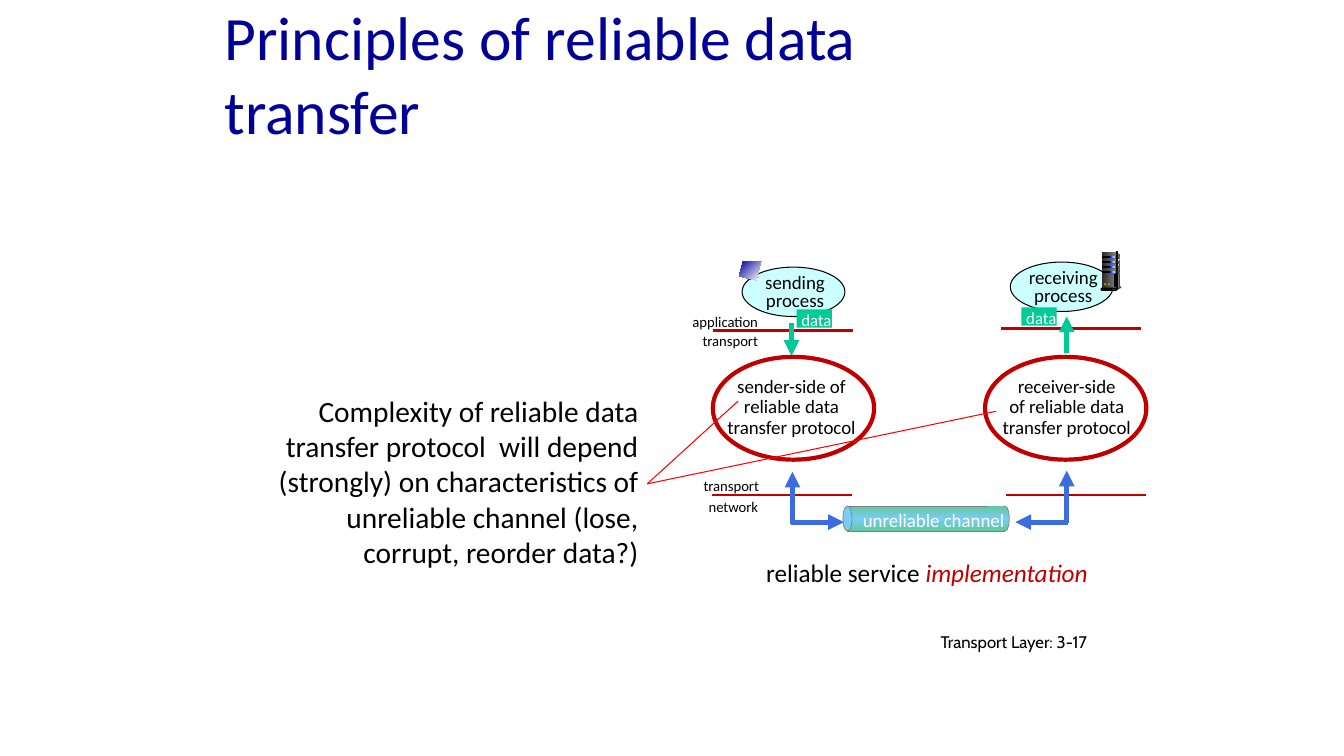
from lxml import etree
from pptx import Presentation
from pptx import util as u
from pptx.dml.color import RGBColor
from pptx.enum import shapes, text
from pptx.oxml.ns import qn

PX = 9144
RED, GREEN, BLUE = "C00000", "00C896", "3C6CDF"
TUBE = ("60C99C", "7ACCF4", "60C99C")
GLOW = ("0000FF", "99CCFF", "0000FF")
STEEL = ("292929", "808080")
RECT = shapes.MSO_SHAPE.RECTANGLE
OVAL = shapes.MSO_SHAPE.OVAL
PILL = shapes.MSO_SHAPE.ROUNDED_RECTANGLE
LEFT, MID, RIGHT = text.PP_ALIGN.LEFT, text.PP_ALIGN.CENTER, text.PP_ALIGN.RIGHT


def rgb(code):
    return RGBColor.from_string(code)


class Pen:
    """Draws styled elements on the current slide, with lengths in px."""

    def __init__(self, slide, font="Calibri", ink="000000"):
        self.shapes = slide.shapes
        self.font = font
        self.ink = ink

    def paint(self, item, fill, line, width, angle):
        item.shadow.inherit = False
        if fill is None:
            item.fill.background()
        elif isinstance(fill, str):
            item.fill.solid()
            item.fill.fore_color.rgb = rgb(fill)
        else:
            item.fill.gradient()
            item.fill.gradient_angle = angle
            stops = item._element.spPr.find(qn("a:gradFill")).find(qn("a:gsLst"))
            for old in list(stops):
                stops.remove(old)
            for i, code in enumerate(fill):
                place = str(100000 * i // (len(fill) - 1))
                stop = etree.SubElement(stops, qn("a:gs"), pos=place)
                etree.SubElement(stop, qn("a:srgbClr"), val=code)
        if line:
            item.line.color.rgb = rgb(line)
            item.line.width = u.Pt(width)
        else:
            item.line.fill.background()

    def shape(self, kind, x, y, w, h, fill=None, line=None, width=0.75, angle=0):
        item = self.shapes.add_shape(kind, x * PX, y * PX, w * PX, h * PX)
        if kind == PILL:
            item.adjustments[0] = 0.5
        self.paint(item, fill, line, width, angle)

    def poly(self, points, fill, angle=0):
        path = self.shapes.build_freeform(*points[0], scale=PX)
        path.add_line_segments(points[1:], close=True)
        self.paint(path.convert_to_shape(), fill, None, 0, angle)

    def line(self, x1, y1, x2, y2, color, width, arrow=False):
        item = self.shapes.add_connector(
            shapes.MSO_CONNECTOR.STRAIGHT, x1 * PX, y1 * PX, x2 * PX, y2 * PX)
        item.line.color.rgb = rgb(color)
        item.line.width = u.Pt(width)
        props = item._element.spPr
        if arrow:
            etree.SubElement(props.find(qn("a:ln")), qn("a:tailEnd"), type="triangle")
        etree.SubElement(props, qn("a:effectLst"))

    def text(self, x, y, w, h, lines, size, color=None, align=LEFT,
             gap=1.0, wrap=True, font=None):
        frame = self.shapes.add_textbox(x * PX, y * PX, w * PX, h * PX).text_frame
        frame.word_wrap = wrap
        frame.text = lines
        for para in frame.paragraphs:
            para.alignment = align
            para.line_spacing = gap
            para.font.size = u.Pt(size)
            para.font.name = font or self.font
            para.font.color.rgb = rgb(color or self.ink)
        return frame


def ends(pen):
    """Draw the sending and receiving processes."""
    for x, y, label, tag_x, tag_y in (
            (736, 265, "sending process", 790, 307),
            (1002, 260, "receiving process", 1013, 305)):
        pen.shape(OVAL, x, y, 102, 49, "CCFFFF", pen.ink)
        pen.text(x + 7, y + 3, 91, 46, label, 13.5, align=MID, gap=0.8)
        pen.shape(RECT, tag_x, tag_y, 35, 18, "00CC99")
        pen.text(tag_x - 5, tag_y - 5, 51, 30, "data", 12, "FFFFFF")
    pen.poly([(755, 259), (737, 259), (733, 274), (750, 278)],
             ("000099", "FFFFFF"), 315)


def server(pen):
    """Draw the server tower beside the receiving process."""
    pen.poly([(1108, 250), (1111, 254), (1111, 285), (1107, 286)], ("DDDDDD", "333333"))
    pen.shape(RECT, 1093, 250, 14, 36, STEEL)
    pen.poly([(1108, 252), (1110, 255), (1109, 275), (1108, 285)], ("808080", "F8F8F8"))
    for y in range(254, 270, 5):
        pen.shape(RECT, 1093, y, 8, 1, pen.ink, pen.ink)
        pen.shape(PILL, 1101, y, 8, 2, pen.ink)
        pen.shape(PILL, 1101, y, 7, 2, GLOW)
    pen.shape(RECT, 1107, 250, 1, 37, ("333333", "DDDDDD", "333333"), pen.ink)
    for y in range(254, 270, 5):
        pen.poly([(1108, y), (1111, y + 2), (1111, y + 3), (1108, y + 1)], STEEL)
    pen.shape(OVAL, 1111, 284, 1, 2, "333333")
    pen.poly([(1108, 286), (1108, 288), (1111, 286), (1111, 285)], "333333")
    pen.shape(PILL, 1092, 286, 16, 2, "DDDDDD", pen.ink)
    pen.shape(PILL, 1093, 286, 14, 1, ("000000", "808080"), pen.ink)
    for i, lamp in enumerate(("33CC33", "FF0000", "33CC33")):
        pen.shape(OVAL, 1095 + 2 * i, 281, 2, 2, lamp)
    pen.shape(RECT, 1105, 272, 1, 12, "292929", pen.ink)


def layers(pen):
    """Draw the layer borders, their names and the channel."""
    for x, y in ((707, 328), (993, 326), (706, 491), (998, 491)):
        pen.line(x, y, x + 139, y, RED, 1.75)
    for x, y, w, name in ((677, 305, 86, "application"), (687, 324, 76, "transport"),
                          (693, 489, 70, "network"), (688, 468, 76, "transport")):
        pen.text(x, y, w, 28, name, 10.5, wrap=False)
    pen.shape(RECT, 840, 502, 156, 25, TUBE, "808080", 0.5, 90)
    pen.shape(OVAL, 836, 502, 9, 25, "7ACCF4", "808080", 0.5)
    pen.shape(OVAL, 992, 502, 9, 25, TUBE, "808080", 0.5, 90)
    pen.shape(RECT, 980, 502, 16, 25, TUBE, angle=90)
    pen.text(846, 500, 163, 33, "unreliable channel", 13.5, "FFFFFF", wrap=False)


def flow(pen):
    """Draw the protocol sides and the arrows between layers."""
    for x1, y1, x2, y2, color in (
            (785, 320, 785, 353, GREEN), (1058, 350, 1058, 314, GREEN),
            (786, 520, 786, 468, BLUE), (785, 518, 837, 518, BLUE),
            (1059, 518, 1007, 518, BLUE), (1058, 519, 1058, 467, BLUE)):
        pen.line(x1, y1, x2, y2, color, 3.75, True)
    for x, oval, label in (
            (707, 707, "sender-side of\nreliable data transfer protocol"),
            (980, 977, "receiver-side\nof reliable data transfer protocol")):
        pen.text(x, 369, 156, 71, label, 13.5, align=MID, gap=0.9)
        pen.shape(OVAL, oval, 354, 160, 102, None, RED, 3)


def notes(pen):
    """Write the title, the remark, the caption and the footer."""
    pen.text(248, 385, 395, 187,
             "Complexity of reliable data transfer protocol  will depend (strongly) on "
             "characteristics of unreliable channel (lose, corrupt, reorder data?)",
             21, align=RIGHT)
    for x, y in ((732, 398), (988, 408)):
        pen.line(x, y, 642, 480, "FF0000", 0.75)
    frame = pen.text(750, 548, 382, 40, "reliable service ", 18)
    run = frame.paragraphs[0].add_run()
    run.text = "implementation"
    run.font.italic = True
    run.font.color.rgb = rgb(RED)
    pen.text(923, 622, 225, 30, "Transport Layer: 3-17", 12, font="Cabin")
    title = pen.text(213, 10, 840, 125, "Principles of reliable data transfer", 44, "000099")
    title.vertical_anchor = text.MSO_ANCHOR.MIDDLE


def main():
    deck = Presentation()
    deck.slide_width, deck.slide_height = 1333 * PX, 750 * PX
    pen = Pen(deck.slides.add_slide(deck.slide_layouts[6]))
    for part in (ends, server, layers, flow, notes):
        part(pen)
    deck.save("out.pptx")


if __name__ == "__main__":
    main()
